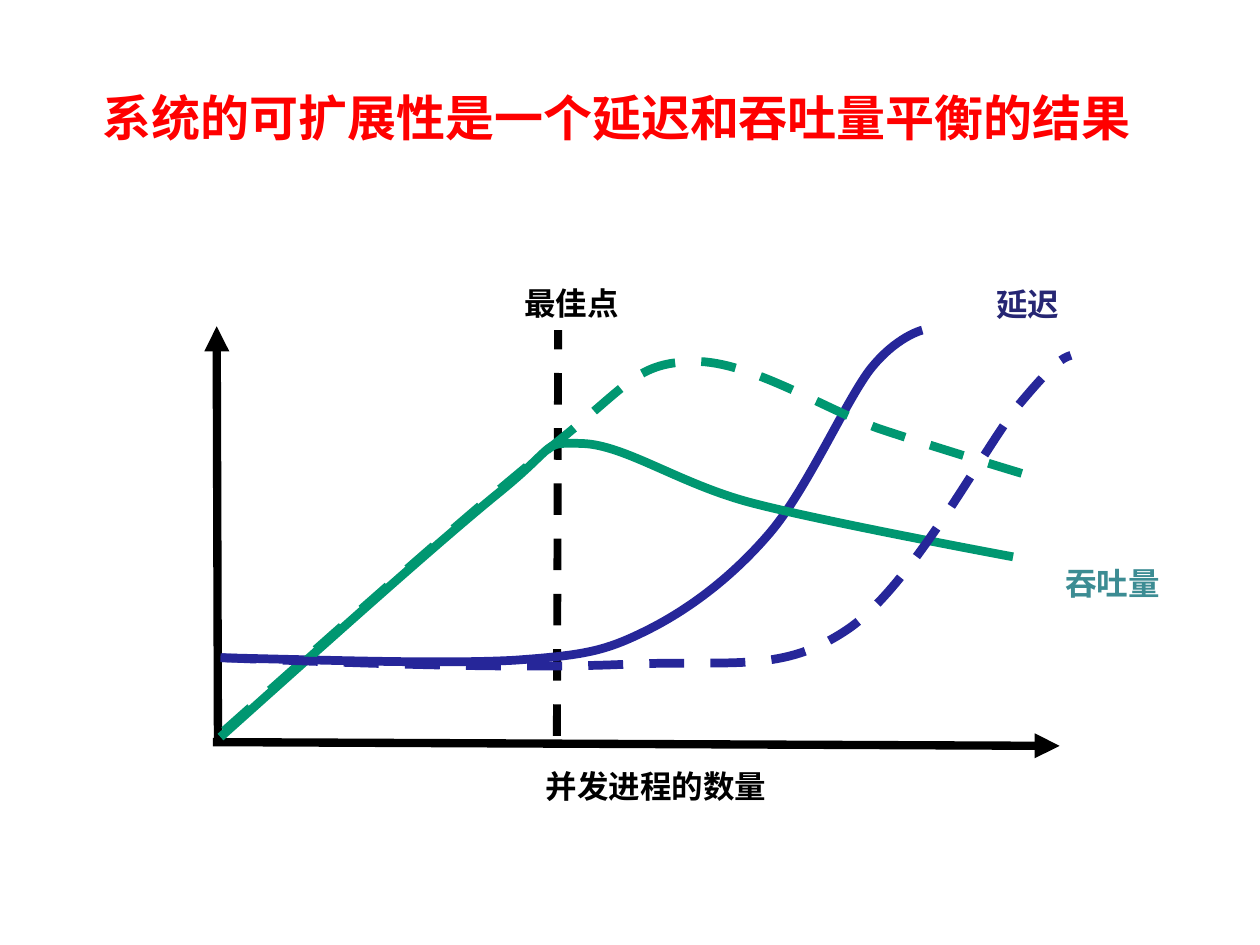
from lxml import etree
from pptx import Presentation
from pptx.dml.color import RGBColor
from pptx.enum.dml import MSO_LINE
from pptx.enum.shapes import MSO_CONNECTOR
from pptx.enum.text import MSO_AUTO_SIZE, PP_ALIGN
from pptx.oxml.ns import qn
from pptx.util import Inches, Pt

DASH, STRAIGHT, CENTER = MSO_LINE.DASH, MSO_CONNECTOR.STRAIGHT, PP_ALIGN.CENTER
GROW = MSO_AUTO_SIZE.SHAPE_TO_FIT_TEXT
BLACK, RED, BLUE, GREEN = "000000", "FF0000", "262699", "009771"
WIDE, HIGH = Inches(10), Inches(7.5)
CELL = WIDE / 100  # grid of 100 columns by 75 rows

# Content, from back to front
# rule: start, end, width, is an axis
# label: text, left, top, width, height, size, colour
# curve: colour, dashed, start point followed by three Bezier points per segment
PARTS = [
    ("rule", (16.9, 58.9), (84.1, 59.2), 4.75, True),
    ("rule", (17.3, 58.9), (17.2, 25.9), 4.75, True),
    ("label", "并发进程的数量", 33.25, 60.35, 37.6, 4, 18, BLACK),
    ("rule", (44.2, 58.4), (44.3, 26.2), 4.5, False),
    ("label", "最佳点", 26.55, 22.05, 37.6, 4, 18, BLACK),
    ("label", "吞吐量", 76.4, 44.3, 23.8, 4, 18, "3C8C93"),
    ("curve", BLUE, False, [
        (17.5, 52.2),
        (26.3, 52.4), (35.1, 52.7), (40.8, 52.4),
        (46.4, 52), (48, 51.7), (51.4, 50),
        (54.8, 48.3), (58.2, 45.7), (61.1, 42.3),
        (64, 38.9), (67, 32.1), (69, 29.4),
        (71.1, 26.7), (73.2, 26.2), (73.2, 26.2)]),
    ("label", "延迟", 69.65, 22.1, 23.8, 4, 18, "262673"),
    ("curve", GREEN, False, [
        (17.5, 58.5),
        (26.1, 50.8), (34.8, 43), (39.6, 39.1),
        (44.4, 35.2), (42.9, 35.1), (46.2, 35.2),
        (49.6, 35.3), (53.9, 38.4), (59.6, 39.9),
        (65.3, 41.4), (80.4, 44.2), (80.4, 44.2)]),
    ("curve", GREEN, True, [
        (17.8, 58),
        (27.7, 49.2), (37.6, 40.4), (43.7, 35.5),
        (49.9, 30.6), (50.4, 28.9), (54.7, 28.7),
        (59.1, 28.4), (65.3, 32.4), (69.7, 34),
        (74.2, 35.5), (81.5, 37.7), (81.5, 37.7)]),
    ("curve", BLUE, True, [
        (17.6, 52.2),
        (29.8, 52.7), (41.9, 53.1), (50.1, 52.7),
        (58.4, 52.4), (62.1, 53.4), (67.2, 50),
        (72.3, 46.6), (77.9, 35.9), (80.8, 32.2),
        (83.8, 28.6), (84.4, 28.4), (85, 28.2)]),
    ("label", "系统的可扩展性是一个延迟和吞吐量平衡的结果",
     -1.05, 6.45, 100, 5.7, 28, RED),
]


def grid(*cells):
    return [round(c * CELL) for c in cells]


def tint(code):
    return RGBColor.from_string(code)


def stroke(line, color, width, dashed):
    line.color.rgb = tint(color)
    line.width = Pt(width)
    if dashed:
        line.dash_style = DASH


def label(text, left, top, width, height, size, color):
    frame = slide.shapes.add_textbox(*grid(left, top, width, height)).text_frame
    frame.word_wrap = True
    frame.auto_size = GROW
    para = frame.paragraphs[0]
    para.alignment = CENTER
    run = para.add_run()
    run.text = text
    font = run.font
    font.name, font.size, font.bold = "Arial", Pt(size), True
    font.color.rgb = tint(color)


def rule(start, end, width, axis):
    link = slide.shapes.add_connector(STRAIGHT, *grid(*start, *end))
    stroke(link.line, BLACK, width, not axis)
    props = link._element.spPr
    etree.SubElement(props, qn("a:effectLst"))
    if axis:
        etree.SubElement(props.find(qn("a:ln")), qn("a:tailEnd"), type="triangle")


def curve(color, dashed, knots):
    spots = [grid(*knot) for knot in knots]
    pen = slide.shapes.build_freeform(*spots[0])
    pen.add_line_segments(spots[3::3], close=False)
    shape = pen.convert_to_shape()
    # Bend each straight segment with its two control points
    sides = list(shape._element.iter(qn("a:lnTo")))
    for n, side in enumerate(sides):
        bend = etree.Element(qn("a:cubicBezTo"))
        for x, y in spots[3 * n + 1:3 * n + 4]:
            etree.SubElement(bend, qn("a:pt"),
                             x=str(x - shape.left), y=str(y - shape.top))
        side.getparent().replace(side, bend)
    shape.shadow.inherit = False
    shape.fill.background()
    stroke(shape.line, color, 5, dashed)


deck = Presentation()
deck.slide_width, deck.slide_height = WIDE, HIGH
slide = deck.slides.add_slide(deck.slide_layouts[6])

# Draw every part in order
DRAW = {"rule": rule, "label": label, "curve": curve}
for kind, *rest in PARTS:
    DRAW[kind](*rest)

deck.save("out.pptx")
